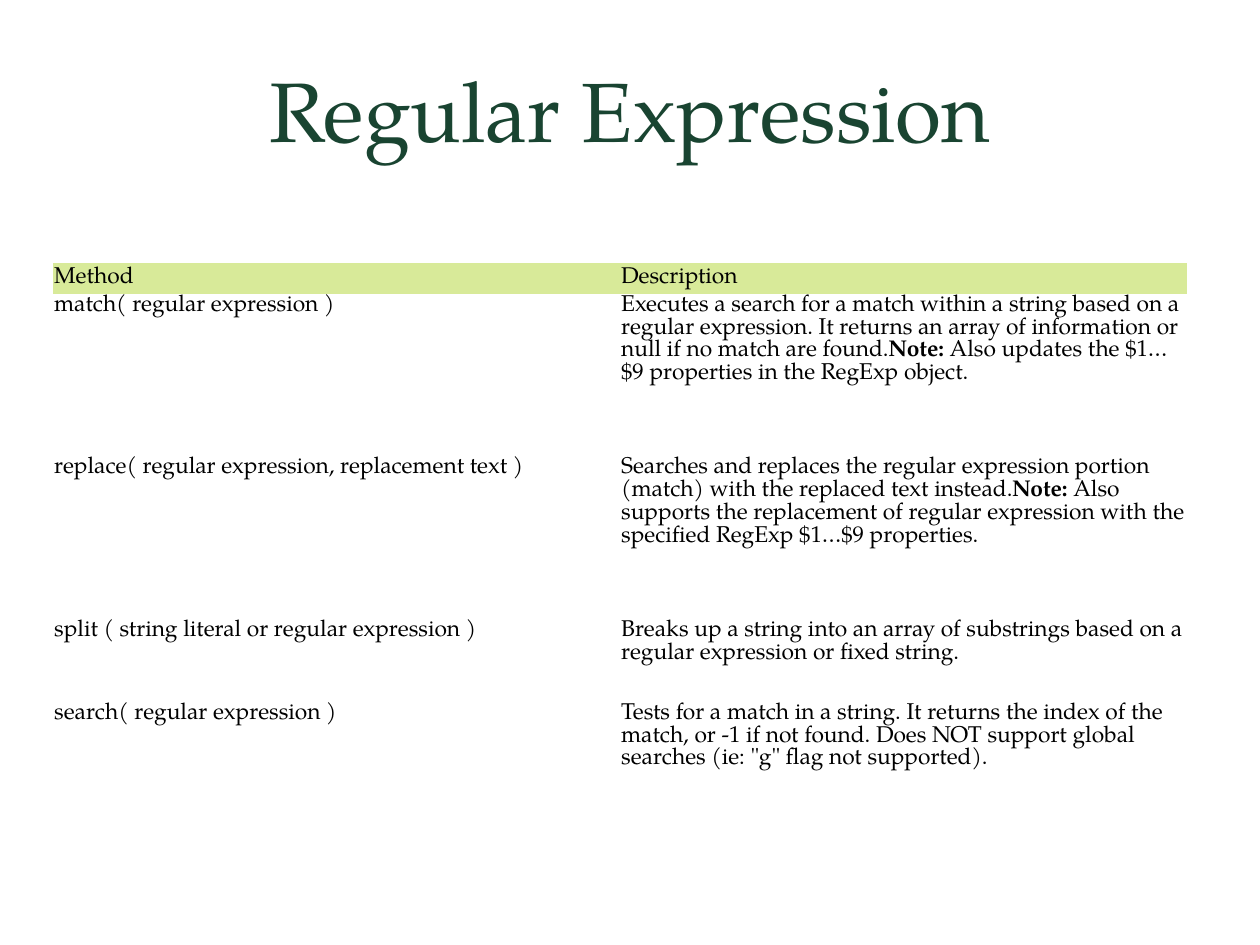
"""Build a slide with a table of regular expression methods."""
from pptx import Presentation
from pptx.dml.color import RGBColor
from pptx.enum.text import MSO_ANCHOR, PP_ALIGN
from pptx.util import Inches, Pt

FONT = "TeX Gyre Pagella"
TITLE = "Regular Expression"
HEADER = ("Method", "Description")
METHODS = [
    ("match( regular expression )",
     "Executes a search for a match within a string based on a regular expression. "
     "It returns an array of information or null if no match are found.",
     " Also updates the $1…$9 properties in the RegExp object."),
    ("replace( regular expression, replacement text )",
     "Searches and replaces the regular expression portion (match) "
     "with the replaced text instead.",
     " Also supports the replacement of regular expression "
     "with the specified RegExp $1…$9 properties."),
    ("split ( string literal or regular expression )",
     "Breaks up a string into an array of substrings based on "
     "a regular expression or fixed string.", None),
    ("search( regular expression )",
     "Tests for a match in a string. It returns the index of the match, or -1 if "
     "not found. Does NOT support global searches (ie: \"g\" flag not supported).", None),
]
ROW_HEIGHTS = (0.24, 1.29, 1.29, 0.66, 1.08)
COLUMN_WIDTH = 4.5
NO_STYLE = "{2D5ABB26-0587-4C30-8999-92F81FD0307C}"


def color(value):
    return RGBColor.from_string(value)


def add_span(para, text, size, ink, bold=False):
    span = para.add_run()
    span.text = text
    span.font.name = FONT
    span.font.size = Pt(size)
    span.font.bold = bold
    span.font.color.rgb = color(ink)


def fill_cell(cell, spans, fill, anchor):
    cell.fill.solid()
    cell.fill.fore_color.rgb = color(fill)
    cell.vertical_anchor = anchor
    cell.margin_left = cell.margin_right = Inches(0.01)
    cell.margin_top = cell.margin_bottom = Inches(0.01)
    para = cell.text_frame.paragraphs[0]
    para.line_spacing = Pt(13)
    for text, bold in spans:
        add_span(para, text, 13, "000000", bold)


def add_title(page):
    title = page.shapes.title
    title.left, title.top = Inches(0.84), Inches(0.09)
    title.width, title.height = Inches(8.32), Inches(1.55)
    title.text_frame.vertical_anchor = MSO_ANCHOR.MIDDLE
    para = title.text_frame.paragraphs[0]
    para.alignment = PP_ALIGN.CENTER
    add_span(para, TITLE, 48, "194431")


def add_methods(page):
    frame = page.shapes.add_table(
        len(ROW_HEIGHTS), len(HEADER), Inches(0.42), Inches(2.09),
        Inches(COLUMN_WIDTH * len(HEADER)), Inches(sum(ROW_HEIGHTS)))
    table = frame.table
    table.first_row = table.horz_banding = False
    table._tbl.tblPr[0].text = NO_STYLE
    for column in table.columns:
        column.width = Inches(COLUMN_WIDTH)
    for row, height in zip(table.rows, ROW_HEIGHTS):
        row.height = Inches(height)
    for index, label in enumerate(HEADER):
        fill_cell(table.cell(0, index), [(label, False)], "D8EA99", MSO_ANCHOR.MIDDLE)
    for index, (method, description, note) in enumerate(METHODS, 1):
        spans = [(description, False)]
        if note:
            spans += [("Note:", True), (note, False)]
        fill_cell(table.cell(index, 0), [(method, False)], "FFFFFF", MSO_ANCHOR.TOP)
        fill_cell(table.cell(index, 1), spans, "FFFFFF", MSO_ANCHOR.TOP)


def main():
    deck = Presentation()
    deck.slide_width, deck.slide_height = Inches(10), Inches(7.5)
    page = deck.slides.add_slide(deck.slide_layouts[5])
    add_title(page)
    add_methods(page)
    deck.save("out.pptx")


if __name__ == "__main__":
    main()
